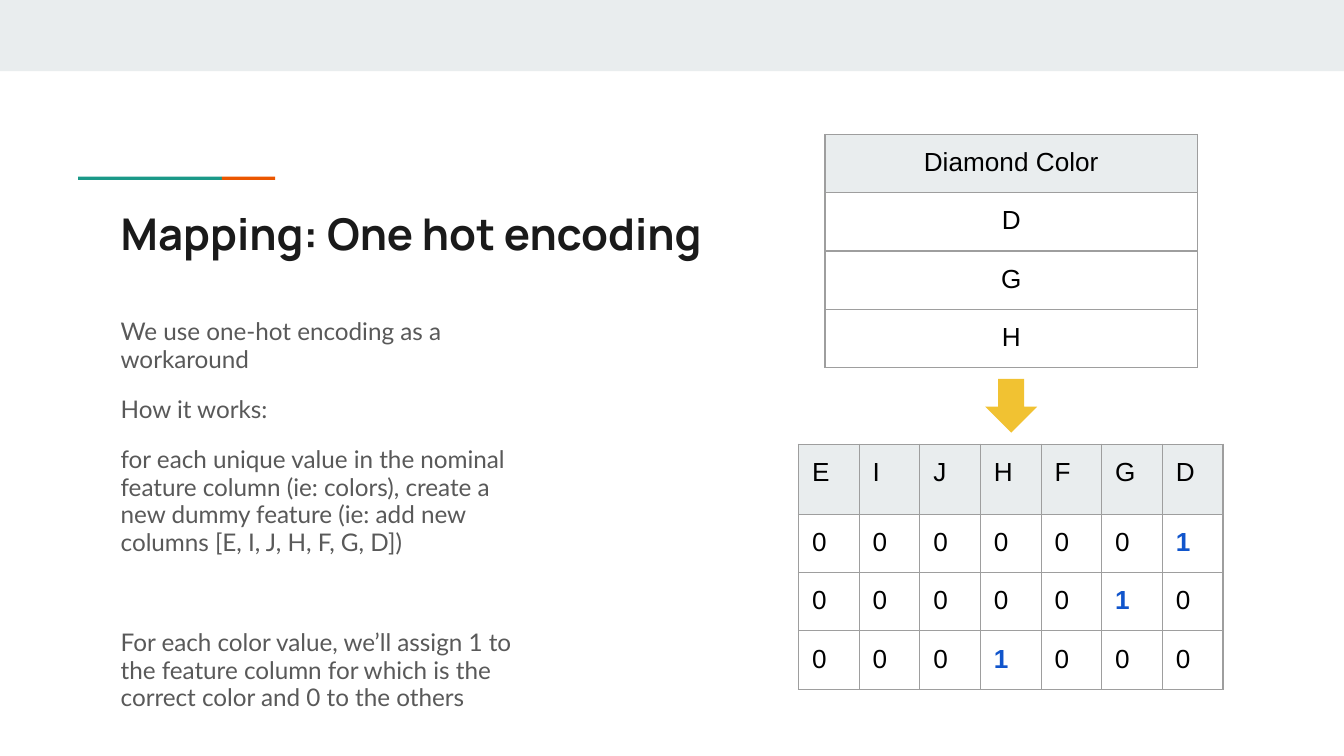
from lxml import etree
from pptx import Presentation
from pptx.dml.color import RGBColor
from pptx.enum.shapes import MSO_SHAPE
from pptx.enum.text import PP_ALIGN
from pptx.oxml.ns import qn
from pptx.util import Pt

RECTANGLE, DOWN_ARROW = MSO_SHAPE.RECTANGLE, MSO_SHAPE.DOWN_ARROW
LEFT, CENTER = PP_ALIGN.LEFT, PP_ALIGN.CENTER
INSET = Pt(7.2)
PALE, GRID, BLACK, BLUE = "E9EDEE", "9E9E9E", "000000", "1155CC"
TEAL, ORANGE, YELLOW = "1A9988", "EB5600", "F1C232"

COLORS = ["D", "G", "H"]
FEATURES = ["E", "I", "J", "H", "F", "G", "D"]
# Each entry: text, space before, space after
EXPLANATION = [
    ("We use one-hot encoding as a workaround", 0, 0),
    ("How it works:", 12, 0),
    ("for each unique value in the nominal feature column (ie: colors), "
     "create a new dummy feature (ie: add new columns [E, I, J, H, F, G, D])", 12, 0),
    ("For each color value, we’ll assign 1 to the feature column for which "
     "is the correct color and 0 to the others", 38.8, 12),
]


def rgb(value):
    return RGBColor.from_string(value)


def write(para, text, size=14, font="Arial", color=BLACK, bold=False,
          align=LEFT, line=1.0, before=0, after=0):
    para.alignment = align
    para.line_spacing = line
    para.space_before, para.space_after = Pt(before), Pt(after)
    span = para.add_run()
    span.text = text
    span.font.size, span.font.name, span.font.bold = Pt(size), font, bold
    span.font.color.rgb = rgb(color)


def set_insets(target):
    target.margin_left = target.margin_right = INSET
    target.margin_top = target.margin_bottom = INSET


def add_block(page, kind, box, color):
    shape = page.shapes.add_shape(kind, *map(Pt, box))
    shape.shadow.inherit = False
    shape.fill.solid()
    shape.fill.fore_color.rgb = rgb(color)
    shape.line.fill.background()


def add_text_frame(page, box):
    frame = page.shapes.add_textbox(*map(Pt, box)).text_frame
    frame.word_wrap = True
    set_insets(frame)
    return frame


def add_borders(cell):
    properties = cell._tc.get_or_add_tcPr()
    for side in ("a:lnL", "a:lnR", "a:lnT", "a:lnB"):
        line = etree.SubElement(properties, qn(side), w=str(int(Pt(0.75))))
        fill = etree.SubElement(line, qn("a:solidFill"))
        etree.SubElement(fill, qn("a:srgbClr"), val=GRID)


def add_grid(page, box, rows, header_height, align):
    left, top, width, height = box
    row_height = (height - header_height) / (len(rows) - 1)
    table = page.shapes.add_table(len(rows), len(rows[0]), *map(Pt, box)).table
    table.first_row = table.horz_banding = False
    for column in table.columns:
        column.width = Pt(width / len(rows[0]))
    for r, values in enumerate(rows):
        table.rows[r].height = Pt(row_height if r else header_height)
        for c, value in enumerate(values):
            cell = table.cell(r, c)
            set_insets(cell)
            add_borders(cell)
            if r:
                cell.fill.background()
            else:
                cell.fill.solid()
                cell.fill.fore_color.rgb = rgb(PALE)
            hot = value == "1"
            write(cell.text_frame.paragraphs[0], value, align=align,
                  color=BLUE if hot else BLACK, bold=hot)


def add_accent(page, box):
    left, top, width, height = box
    teal_width = width * 0.73
    add_block(page, RECTANGLE, (left, top, teal_width, height), TEAL)
    add_block(page, RECTANGLE,
              (left + teal_width, top, width - teal_width, height), ORANGE)


def add_title(page, box):
    write(add_text_frame(page, box).paragraphs[0], "Mapping: One hot encoding",
          size=23.4, font="Manrope", color="1A1A1A", bold=True)


def add_explanation(page, box):
    frame = add_text_frame(page, box)
    for i, (text, before, after) in enumerate(EXPLANATION):
        para = frame.add_paragraph() if i else frame.paragraphs[0]
        write(para, text, size=13, font="Lato", color="595959",
              line=0.95, before=before, after=after)


def add_color_table(page, box):
    rows = [["Diamond Color"]] + [[color] for color in COLORS]
    add_grid(page, box, rows, box[3] / len(rows), CENTER)


def add_encoded_table(page, box):
    encoded = [[str(int(feature == color)) for feature in FEATURES]
               for color in COLORS]
    add_grid(page, box, [FEATURES] + encoded, 37.5, LEFT)


def main():
    deck = Presentation()
    deck.slide_width, deck.slide_height = Pt(720), Pt(405)
    page = deck.slides.add_slide(deck.slide_layouts[6])

    # Top band and accent rule
    add_block(page, RECTANGLE, (0, 0, 720, 38.2), PALE)
    add_accent(page, (41.8, 94.7, 105.6, 1.7))

    # Left: title and explanation
    add_title(page, (57.6, 103.7, 605.5, 42.5))
    add_explanation(page, (57.6, 163.4, 227.5, 234))

    # Right: original column, arrow, encoded columns
    add_color_table(page, (442, 72, 199.5, 120))
    add_encoded_table(page, (427.8, 238, 227.5, 130.5))
    add_block(page, DOWN_ARROW, (527.8, 203, 27.8, 28.8), YELLOW)

    deck.save("out.pptx")


if __name__ == "__main__":
    main()
